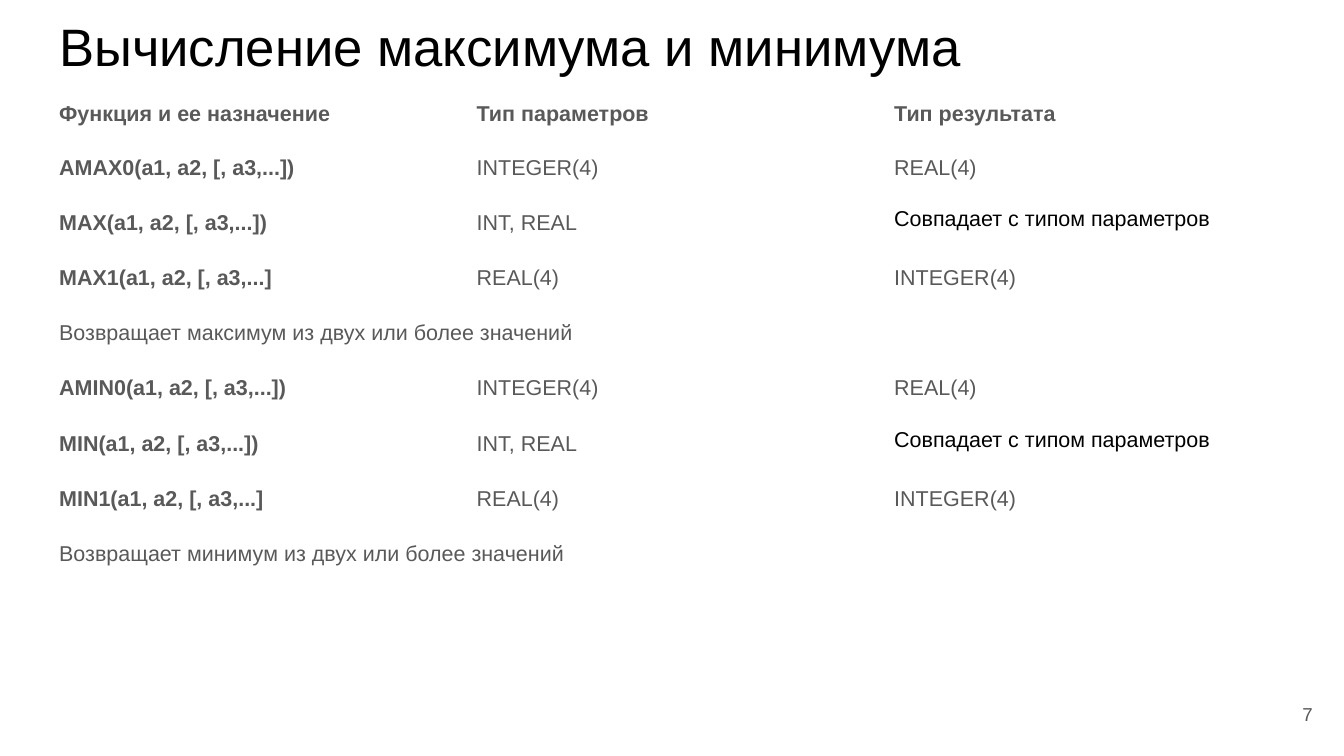
from pptx import Presentation, util as u
from pptx.dml import color
from pptx.enum import text

Pt = u.Pt
INSET = 7.2
GRAY, BLACK, WHITE = "595959", "000000", "FFFFFF"
SAME_TYPE = "Совпадает с типом параметров"
ROWS = [("Функция и ее назначение", "Тип параметров", "Тип результата")]
for name, meaning in (("MAX", "максимум"), ("MIN", "минимум")):
    ROWS += [
        (f"A{name}0(a1, a2, [, a3,...])", "INTEGER(4)", "REAL(4)"),
        (f"{name}(a1, a2, [, a3,...])", "INT, REAL", SAME_TYPE),
        (f"{name}1(a1, a2, [, a3,...]", "REAL(4)", "INTEGER(4)"),
        (f"Возвращает {meaning} из двух или более значений",),
    ]


def paint(font, hex_color):
    font.color.rgb = color.RGBColor.from_string(hex_color)


def write(frame, words, size, hex_color, bold=False, align=text.PP_ALIGN.LEFT):
    frame.text = words
    para = frame.paragraphs[0]
    para.alignment = align
    span = para.runs[0]
    span.font.name, span.font.size, span.font.bold = "Arial", Pt(size), bold
    paint(span.font, hex_color)
    return para


def set_insets(owner):
    owner.margin_left = owner.margin_right = Pt(INSET)
    owner.margin_top = owner.margin_bottom = Pt(INSET)


def place_title(page, left, top, width, height):
    title = page.shapes.title
    title.left, title.top = Pt(left), Pt(top)
    title.width, title.height = Pt(width), Pt(height)
    frame = title.text_frame
    set_insets(frame)
    frame.word_wrap = True
    frame.auto_size = text.MSO_AUTO_SIZE.NONE
    frame.vertical_anchor = text.MSO_ANCHOR.TOP
    write(frame, "Вычисление максимума и минимума", 28.2, BLACK)


def place_functions(page, left, top, width, heights):
    columns = len(ROWS[0])
    table = page.shapes.add_table(
        len(ROWS), columns, Pt(left), Pt(top), Pt(width), Pt(sum(heights))
    ).table
    table.first_row = table.horz_banding = False
    for column in table.columns:
        column.width = Pt(width / columns)
    for r, (words, height) in enumerate(zip(ROWS, heights)):
        table.rows[r].height = Pt(height)
        for cell in table.rows[r].cells:
            cell.fill.background()
            set_insets(cell)
        if len(words) == 1:
            table.cell(r, 0).merge(table.cell(r, columns - 1))
        for c, word in enumerate(words):
            plain = word == SAME_TYPE
            bold = r == 0 or (c == 0 and len(words) > 1)
            para = write(table.cell(r, c).text_frame, word, 11.5, BLACK if plain else GRAY, bold)
            if not plain:
                para.line_spacing = 1.15
                para.space_after = Pt(6)


def place_number(page, left, top, width, height):
    box = page.shapes.add_textbox(Pt(left), Pt(top), Pt(width), Pt(height))
    frame = box.text_frame
    set_insets(frame)
    frame.word_wrap = True
    frame.vertical_anchor = text.MSO_ANCHOR.MIDDLE
    write(frame, "7", 10, GRAY, align=text.PP_ALIGN.RIGHT)


def main():
    deck = Presentation()
    deck.slide_width, deck.slide_height = Pt(720), Pt(405)
    page = deck.slides.add_slide(deck.slide_layouts[5])
    page.background.fill.solid()
    page.background.fill.fore_color.rgb = color.RGBColor.from_string(WHITE)
    place_title(page, 24.5, 0, 671, 45.4)
    place_functions(page, 24.5, 45.4, 671.1, [28.4] * 2 + [29.6] * 7)
    place_number(page, 667.1, 367.2, 43.2, 31)
    deck.save("out.pptx")


if __name__ == "__main__":
    main()
